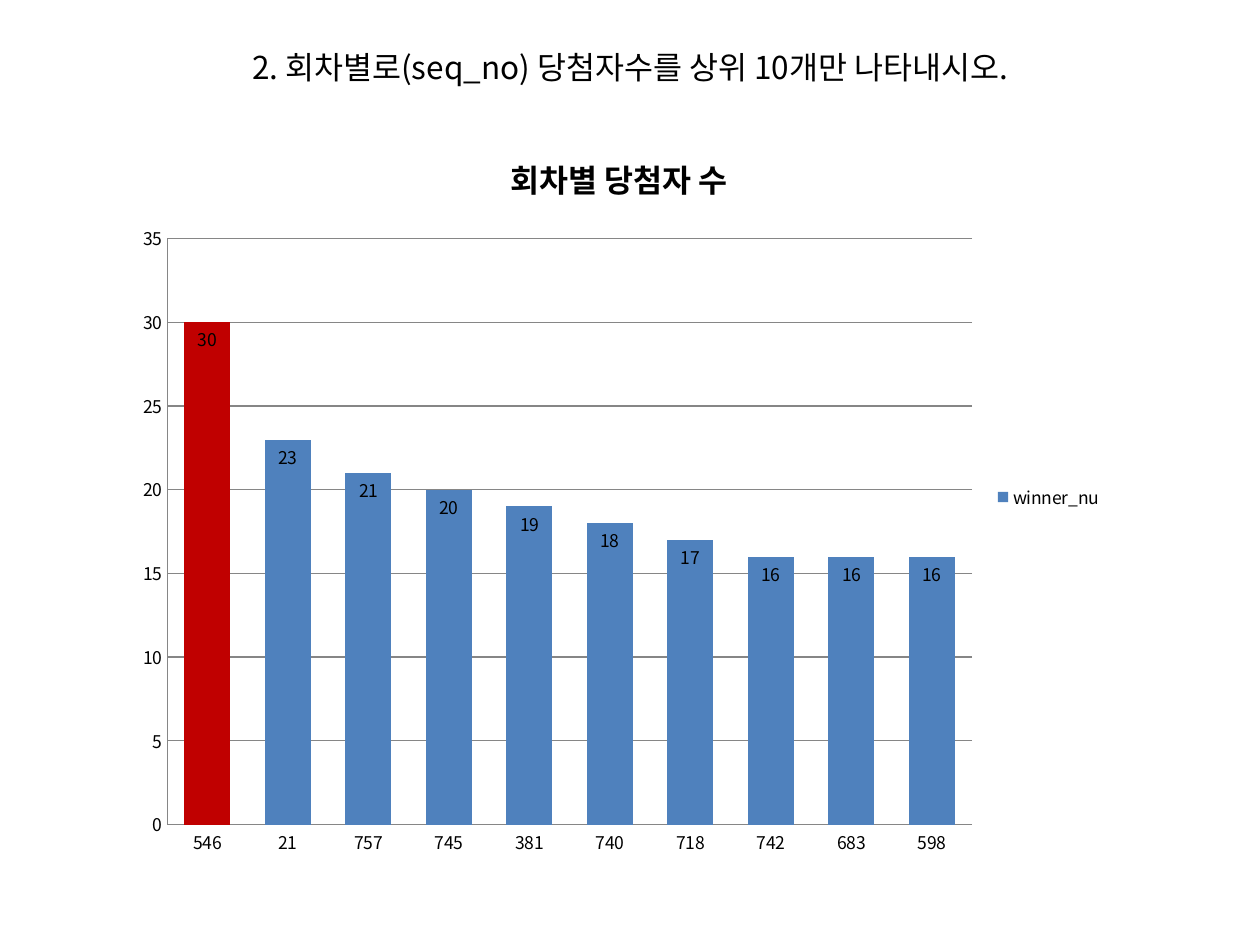
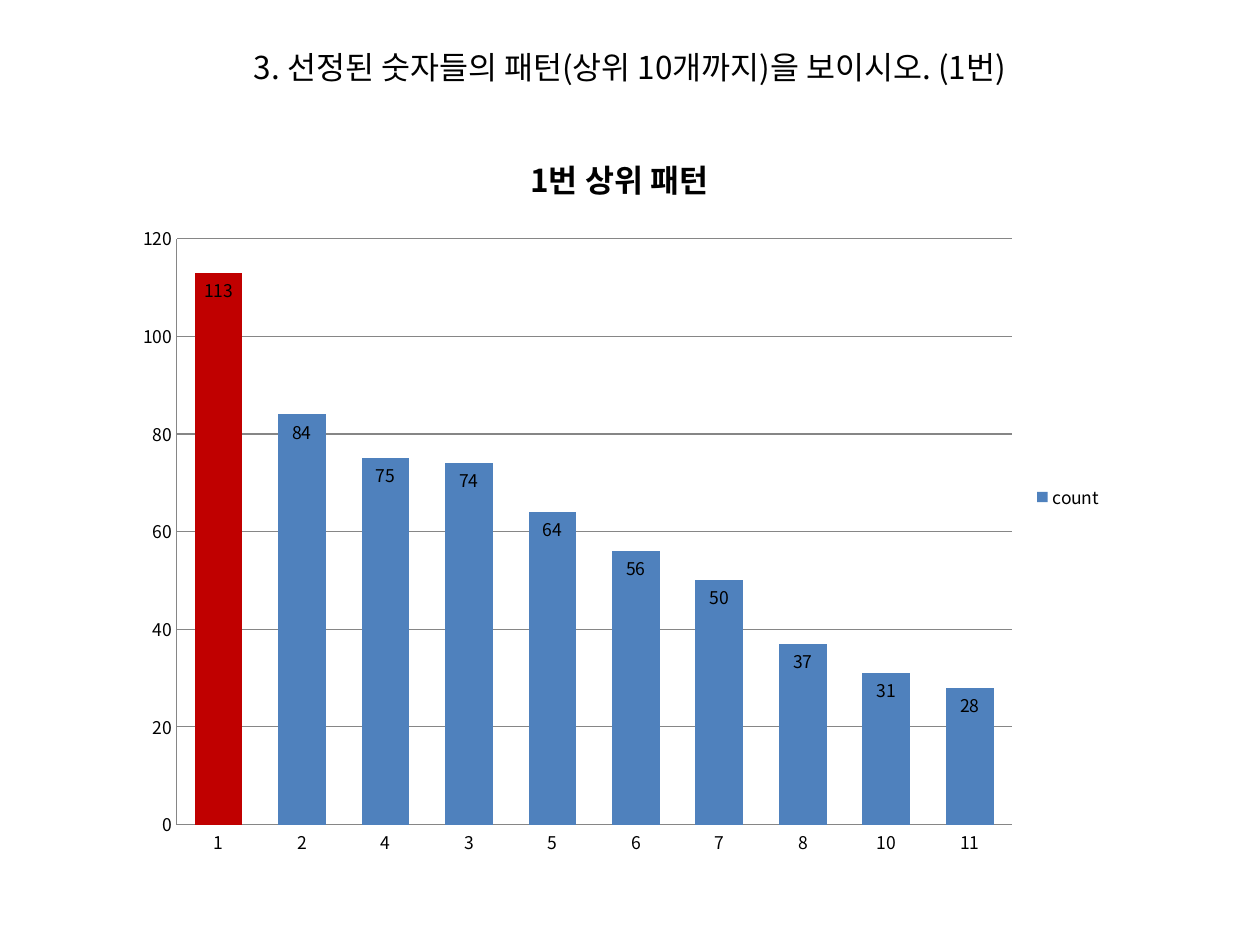
from lxml import etree
from pptx import Presentation
from pptx.chart.data import CategoryChartData
from pptx.dml.color import RGBColor
from pptx.enum.chart import XL_CHART_TYPE as ChartType
from pptx.enum.chart import XL_LABEL_POSITION as LabelPos
from pptx.enum.chart import XL_LEGEND_POSITION as LegendPos
from pptx.enum.chart import XL_TICK_MARK as TickMark
from pptx.enum.text import MSO_AUTO_SIZE as AutoSize
from pptx.enum.text import PP_ALIGN as Align
from pptx.oxml.ns import qn
from pptx.util import Inches, Pt

COLORS = {"text": "000000", "bar": "4F81BD", "top": "C00000", "line": "868686"}
FONT = "Noto Sans CJK KR"
HEADING_BOX = (0, 0.33, 10, 0.4)
CHART_BOX = (0.98, 0.99, 7.87, 5.91)

SLIDES = [
    {
        "heading": "2. 회차별로(seq_no) 당첨자수를 상위 10개만 나타내시오.",
        "title": "회차별 당첨자 수",
        "series": "winner_nu",
        "counts": [("546", 30), ("21", 23), ("757", 21), ("745", 20), ("381", 19),
                   ("740", 18), ("718", 17), ("742", 16), ("683", 16), ("598", 16)],
        "axis": (35, 5),
    },
    {
        "heading": "3. 선정된 숫자들의 패턴(상위 10개까지)을 보이시오. (1번)",
        "title": "1번 상위 패턴",
        "series": "count",
        "counts": [("1", 113), ("2", 84), ("4", 75), ("3", 74), ("5", 64),
                   ("6", 56), ("7", 50), ("8", 37), ("10", 31), ("11", 28)],
        "axis": (120, 20),
    },
]


def rgb(name):
    return RGBColor.from_string(COLORS[name])


def style_font(font, size, bold=False):
    font.name = FONT
    font.size = Pt(size)
    font.bold = bold
    font.color.rgb = rgb("text")


def add_run(p, text, size, bold=False):
    r = p.add_run()
    r.text = text
    style_font(r.font, size, bold)
    latin = r._r.get_or_add_rPr().find(qn("a:latin"))
    ea = etree.Element(qn("a:ea"), typeface=FONT)
    latin.addnext(ea)


def add_heading(s, box, text):
    sp = s.shapes.add_textbox(*map(Inches, box))
    tf = sp.text_frame
    tf.word_wrap = True
    tf.auto_size = AutoSize.SHAPE_TO_FIT_TEXT
    p = tf.paragraphs[0]
    p.alignment = Align.CENTER
    add_run(p, text, 18)


def style_axis(axis):
    axis.major_tick_mark = TickMark.NONE
    axis.minor_tick_mark = TickMark.NONE
    axis.format.line.color.rgb = rgb("line")
    axis.format.line.width = Pt(0.75)


def add_ranking_chart(s, box, title, series_name, counts, axis):
    data = CategoryChartData()
    data.categories = [label for label, _ in counts]
    data.add_series(series_name, [value for _, value in counts])
    chart = s.shapes.add_chart(
        ChartType.COLUMN_CLUSTERED, *map(Inches, box), data).chart
    style_font(chart.font, 10)

    chart.has_title = True
    add_run(chart.chart_title.text_frame.paragraphs[0], title, 18, True)
    chart.chart_title.include_in_layout = False
    chart.has_legend = True
    chart.legend.position = LegendPos.RIGHT
    chart.legend.include_in_layout = False

    style_axis(chart.category_axis)
    values = chart.value_axis
    style_axis(values)
    values.minimum_scale = 0
    values.maximum_scale, values.major_unit = axis
    values.has_major_gridlines = True
    grid = values.major_gridlines.format.line
    grid.color.rgb = rgb("line")
    grid.width = Pt(0.75)

    plot = chart.plots[0]
    plot.vary_by_categories = False
    plot.gap_width = 75
    plot.overlap = 40
    series = plot.series[0]
    for part, color in ((series, "bar"), (series.points[0], "top")):
        part.format.fill.solid()
        part.format.fill.fore_color.rgb = rgb(color)
    labels = series.data_labels
    labels.show_value = True
    labels.position = LabelPos.INSIDE_END
    style_font(labels.font, 10)


def add_question_slide(prs, question):
    s = prs.slides.add_slide(prs.slide_layouts[6])
    add_ranking_chart(s, CHART_BOX, question["title"], question["series"],
                      question["counts"], question["axis"])
    add_heading(s, HEADING_BOX, question["heading"])


prs = Presentation()
prs.slide_width = Inches(10)
prs.slide_height = Inches(7.5)
for question in SLIDES:
    add_question_slide(prs, question)
prs.save("out.pptx")
